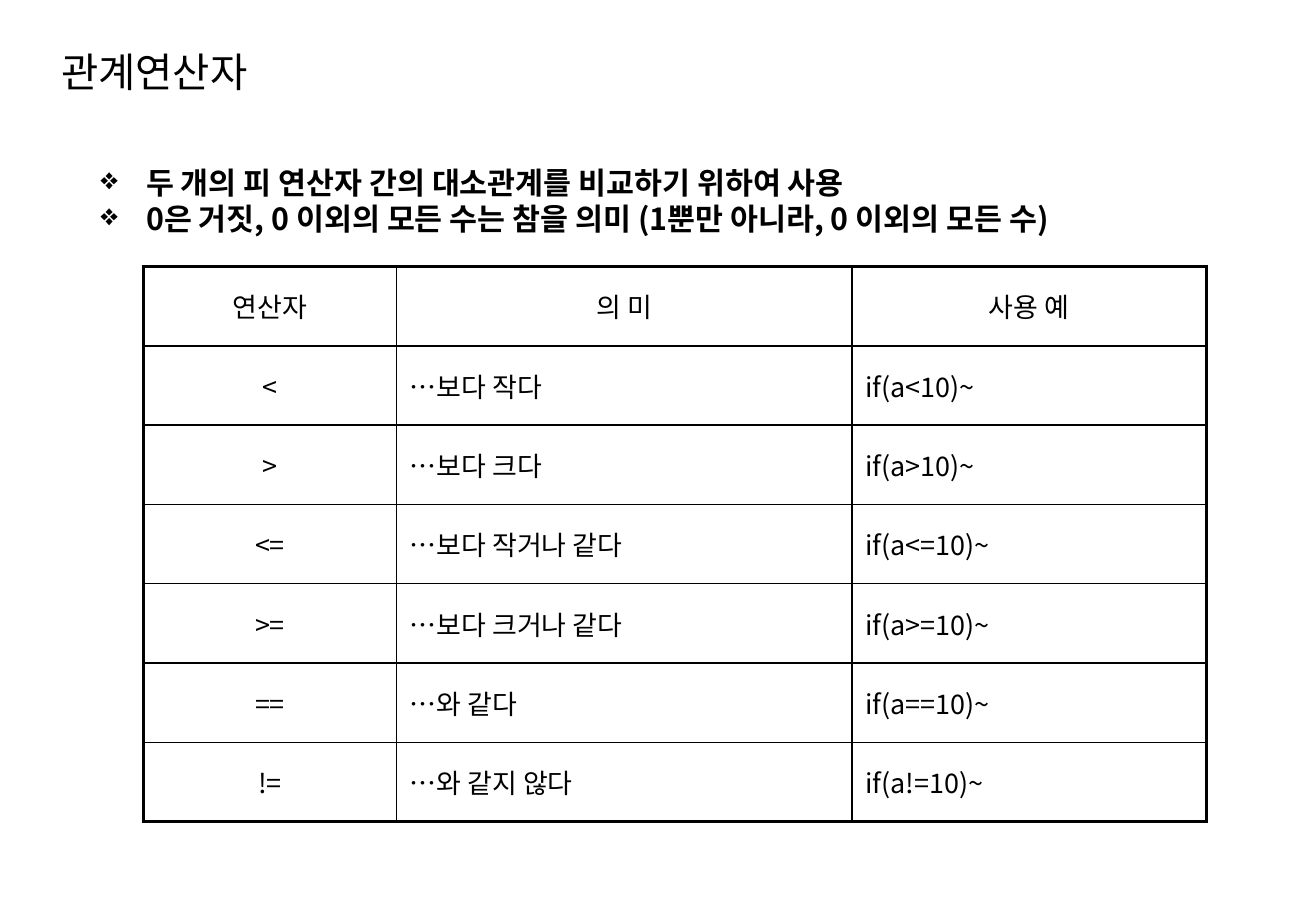
from lxml.etree import SubElement
from pptx import Presentation
from pptx.dml.color import RGBColor
from pptx.enum.text import MSO_ANCHOR, MSO_AUTO_SIZE, PP_ALIGN
from pptx.oxml.ns import qn
from pptx.util import Pt

SANS = "Noto Sans CJK KR"
SERIF = "Times New Roman"
BLACK = "000000"
WHITE = "FFFFFF"
THICK, THIN = 2.25, 1
DOTS = "…"

TITLE = "관계연산자"
NOTES = [
    "두 개의 피 연산자 간의 대소관계를 비교하기 위하여 사용",
    "0은 거짓, 0 이외의 모든 수는 참을 의미 (1뿐만 아니라, 0 이외의 모든 수)",
]
HEADS = ["연산자", "의 미", "사용 예"]
RULES = [
    ("<", "보다 작다"),
    (">", "보다 크다"),
    ("<=", "보다 작거나 같다"),
    (">=", "보다 크거나 같다"),
    ("==", "와 같다"),
    ("!=", "와 같지 않다"),
]
WIDTHS = [150, 270, 210]
HEIGHT = 47

HEAD = {"size": Pt(24), "bold": False}
NOTE = {"size": Pt(18), "bold": True}
CELL = {"size": Pt(16), "bold": False}
FRAME = {"word_wrap": True, "auto_size": MSO_AUTO_SIZE.NONE}
INSET = {
    "margin_left": Pt(8), "margin_right": Pt(8),
    "margin_top": Pt(3.6), "margin_bottom": Pt(3.6),
    "vertical_anchor": MSO_ANCHOR.MIDDLE,
}


def color(code):
    return RGBColor.from_string(code)


def apply(item, values):
    for name, value in values.items():
        setattr(item, name, value)


def place(shape, left, top, width, height):
    apply(shape, {"left": Pt(left), "top": Pt(top),
                  "width": Pt(width), "height": Pt(height)})


def add_run(para, text, style, face=SANS):
    run = para.add_run()
    run.text = text
    apply(run.font, {"name": face, **style})
    run.font.color.rgb = color(BLACK)
    SubElement(run.font._element, qn("a:ea"), typeface=SANS)


def add_title(slide):
    title = slide.shapes.title
    place(title, 29, 23, 451, 39)
    apply(title.text_frame, {**FRAME, "vertical_anchor": MSO_ANCHOR.MIDDLE})
    para = title.text_frame.paragraphs[0]
    para.alignment = PP_ALIGN.LEFT
    add_run(para, TITLE, HEAD)


def add_bullet(para, mark, indent):
    props = para._p.get_or_add_pPr()
    props.set("marL", str(Pt(indent)))
    props.set("indent", str(Pt(-indent)))
    SubElement(props, qn("a:buChar"), char=mark)


def add_notes(slide):
    box = slide.shapes.add_textbox(Pt(52.5), Pt(96), Pt(672), Pt(58))
    frame = box.text_frame
    apply(frame, FRAME)
    for index, text in enumerate(NOTES):
        para = frame.add_paragraph() if index else frame.paragraphs[0]
        apply(para, {"line_spacing": 0.9, "space_before": Pt(2)})
        add_bullet(para, "❖", 27)
        add_run(para, text, NOTE)


def add_edge(cell, side, width):
    line = SubElement(cell._tc.get_or_add_tcPr(), qn("a:ln" + side),
                      w=str(Pt(width)))
    fill = SubElement(line, qn("a:solidFill"))
    SubElement(fill, qn("a:srgbClr"), val=BLACK)


def format_cell(cell, row, col):
    apply(cell, INSET)
    outer = {"L": col == 0, "R": col == len(WIDTHS) - 1,
             "T": row == 0, "B": row == len(RULES)}
    for side, edge in outer.items():
        add_edge(cell, side, THICK if edge else THIN)
    cell.fill.solid()
    cell.fill.fore_color.rgb = color(WHITE)


def add_grid(slide):
    rows = [HEADS] + [(sign, DOTS + text, f"if(a{sign}10)~")
                      for sign, text in RULES]
    table = slide.shapes.add_table(
        len(rows), len(WIDTHS), Pt(85), Pt(158),
        Pt(sum(WIDTHS)), Pt(HEIGHT * len(rows))).table
    apply(table, {"first_row": False, "horz_banding": False})
    for col, width in zip(table.columns, WIDTHS):
        col.width = Pt(width)
    for row, texts in enumerate(rows):
        table.rows[row].height = Pt(HEIGHT)
        for col, text in enumerate(texts):
            cell = table.cell(row, col)
            format_cell(cell, row, col)
            para = cell.text_frame.paragraphs[0]
            mid = row == 0 or col == 0
            para.alignment = PP_ALIGN.CENTER if mid else PP_ALIGN.LEFT
            if text.startswith(DOTS):
                add_run(para, DOTS, CELL, SERIF)
            add_run(para, text.removeprefix(DOTS), CELL)


def main():
    deck = Presentation()
    apply(deck, {"slide_width": Pt(780), "slide_height": Pt(540)})
    slide = deck.slides.add_slide(deck.slide_layouts[5])
    add_title(slide)
    add_notes(slide)
    add_grid(slide)
    deck.save("out.pptx")


main()
